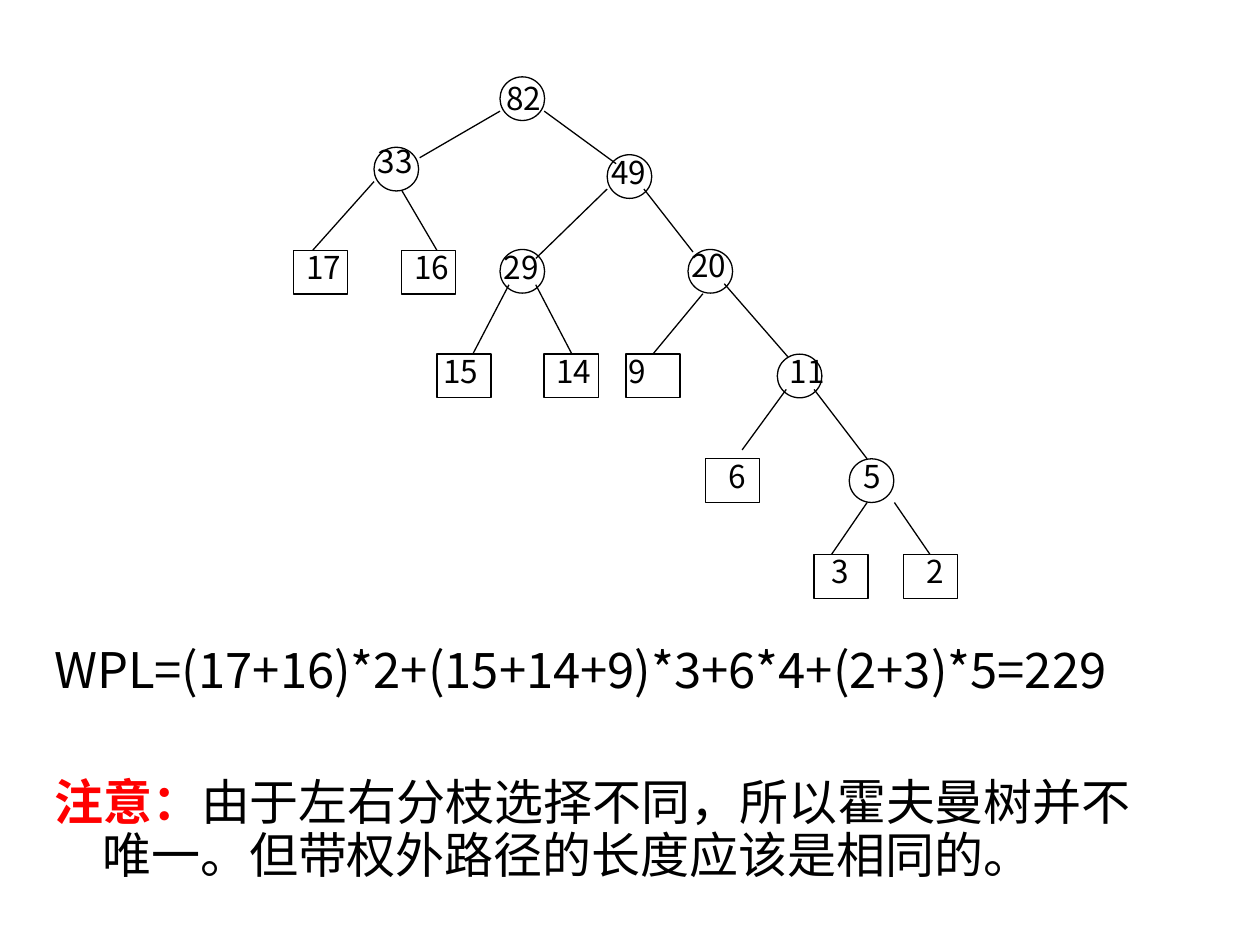
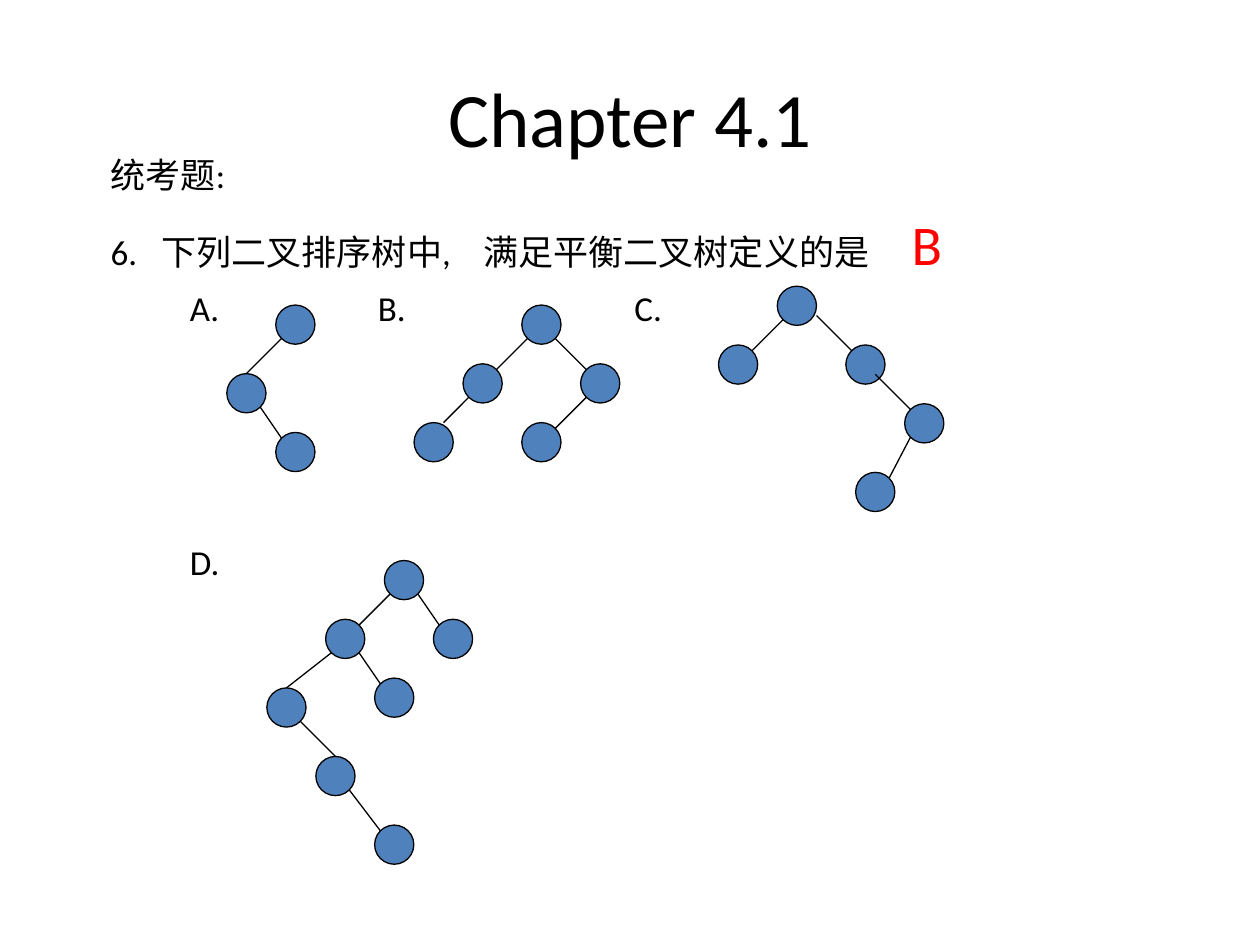
from dataclasses import dataclass

from lxml import etree
from pptx import Presentation
from pptx import util as u
from pptx.dml.color import RGBColor
from pptx.enum import shapes, text
from pptx.oxml import ns


@dataclass(frozen=True)
class Theme:
    ink: RGBColor = RGBColor(0, 0, 0)
    accent: RGBColor = RGBColor(0xFF, 0, 0)
    node: RGBColor = RGBColor(0x4F, 0x81, 0xBD)
    latin: str = "Calibri"
    chinese: str = "Noto Sans CJK SC"
    title: int = 44
    answer: int = 32
    body: int = 28
    question: int = 20
    label: int = 18
    line: float = 0.75


THEME = Theme()
OVAL = shapes.MSO_SHAPE.OVAL
RECTANGLE = shapes.MSO_SHAPE.RECTANGLE

# Huffman tree: weight, outline, its corner, label corner, edge from the parent (cm)
CIRCLE, LEAF = (OVAL, 0.9, 0.88), (RECTANGLE, 1.09, 0.88)
HUFFMAN = [
    ("82", CIRCLE, (10.08, 1.55), (9.96, 1.47), None),
    ("33", CIRCLE, (7.54, 2.97), (7.37, 2.74), (10.08, 2.24, 8.46, 3.18)),
    ("49", CIRCLE, (12.24, 3.12), (12.07, 2.97), (10.97, 2.24, 12.42, 3.3)),
    ("17", LEAF, (5.92, 5.05), (5.92, 4.88), (7.54, 3.66, 6.3, 5.05)),
    ("16", LEAF, (8.1, 5.05), (8.1, 4.88), (8.1, 3.84, 8.81, 5.05)),
    ("29", CIRCLE, (10.08, 5.03), (9.91, 4.88), (12.24, 3.81, 10.8, 5.21)),
    ("20", CIRCLE, (13.87, 5.03), (13.69, 4.83), (12.98, 3.81, 13.97, 5.08)),
    ("15", LEAF, (8.81, 7.14), (8.69, 6.98), (10.26, 5.74, 9.53, 7.14)),
    ("14", LEAF, (10.97, 7.14), (10.97, 6.98), (10.8, 5.74, 11.53, 7.14)),
    ("9", LEAF, (12.62, 7.14), (12.42, 6.98), (14.17, 5.92, 13.16, 7.14)),
    ("11", CIRCLE, (15.67, 7.14), (15.67, 6.98), (14.6, 5.72, 15.88, 7.19)),
    ("6", LEAF, (14.22, 9.25), (14.43, 9.09), (15.85, 7.85, 14.96, 9.07)),
    ("5", CIRCLE, (17.12, 9.25), (17.15, 9.09), (16.41, 7.85, 17.48, 9.25)),
    ("3", LEAF, (16.41, 11.18), (16.51, 11), (17.48, 10.13, 16.76, 11.18)),
    ("2", LEAF, (18.21, 11.18), (18.42, 11), (18.03, 10.13, 18.75, 11.18)),
]

# Answer trees: a node is four grid units wide; points on it are in grid units
DIAMETER = 0.79
GRID = DIAMETER / 4
TOP = (2, 0)
UPPER_LEFT, UPPER_RIGHT = (0.59, 0.59), (3.41, 0.59)
LOWER_LEFT, LOWER_RIGHT = (0.59, 3.41), (3.41, 3.41)

# Option letter, its corner (cm), root corner (cm), node corners from the root
# (grid units), edges
ANSWER_TREES = [
    ("A.", (3.58, 5.66), (5.56, 6.15), [(0, 0), (-5, 7), (0, 13)],
     [(0, LOWER_LEFT, 1, TOP), (1, LOWER_RIGHT, 2, UPPER_LEFT)]),
    ("B.", (7.37, 5.66), (10.52, 6.15),
     [(0, 0), (-6, 6), (6, 6), (-11, 12), (0, 12)],
     [(0, LOWER_LEFT, 1, UPPER_RIGHT), (0, LOWER_RIGHT, 2, UPPER_LEFT),
      (1, LOWER_LEFT, 3, (3, 0)), (2, LOWER_LEFT, 4, UPPER_RIGHT)]),
    ("C.", (12.54, 5.66), (15.67, 5.77),
     [(0, 0), (-6, 6), (7, 6), (13, 12), (8, 19)],
     [(0, LOWER_LEFT, 1, UPPER_RIGHT), (0, (4, 3), 2, UPPER_LEFT),
      (2, (3, 3), 3, UPPER_LEFT), (3, LOWER_LEFT, 4, UPPER_RIGHT)]),
    ("D.", (3.58, 10.78), (7.75, 11.3),
     [(0, 0), (-6, 6), (5, 6), (-12, 13), (-1, 12), (-7, 20), (-1, 27)],
     [(0, LOWER_LEFT, 1, UPPER_RIGHT), (0, LOWER_RIGHT, 2, UPPER_LEFT),
      (1, LOWER_LEFT, 3, TOP), (1, LOWER_RIGHT, 4, UPPER_LEFT),
      (3, LOWER_RIGHT, 5, TOP), (5, LOWER_RIGHT, 6, UPPER_LEFT)]),
]


def place(box, left, top, width, height):
    box.left, box.top = u.Cm(left), u.Cm(top)
    box.width, box.height = u.Cm(width), u.Cm(height)


def style_span(span, size, face, color=THEME.ink, bold=False):
    font = span.font
    font.size, font.name, font.bold = u.Pt(size), face, bold
    font.color.rgb = color
    east_asian = etree.SubElement(font._element, ns.qn("a:ea"))
    east_asian.set("typeface", face)


def add_spans(para, spans, face):
    """Each span is (text, size, color, bold)."""
    for words, size, color, bold in spans:
        span = para.add_run()
        span.text = words
        style_span(span, size, face, color, bold)


def set_layout(para, hanging=0, stops=()):
    """Turn the bullet off, then set a hanging indent or tab stops in cm."""
    properties = para._p.get_or_add_pPr()
    if hanging:
        properties.set("marL", str(u.Cm(hanging)))
        properties.set("indent", str(u.Cm(-hanging)))
    etree.SubElement(properties, ns.qn("a:buNone"))
    if stops:
        tabs = etree.SubElement(properties, ns.qn("a:tabLst"))
        for stop in stops:
            etree.SubElement(tabs, ns.qn("a:tab"), pos=str(u.Cm(stop)), algn="l")


def add_paragraphs(frame, paragraphs, face, spacing=None, hanging=0):
    """Each paragraph is (space before, tab stops, spans)."""
    frame.word_wrap = True
    for index, (before, stops, spans) in enumerate(paragraphs):
        para = frame.add_paragraph() if index else frame.paragraphs[0]
        set_layout(para, hanging, stops)
        para.space_before = u.Pt(before)
        if spacing:
            para.line_spacing = spacing
        add_spans(para, spans, face)


def add_node(parent, kind, left, top, width, height, fill=None):
    node = parent.shapes.add_shape(
        kind, u.Cm(left), u.Cm(top), u.Cm(width), u.Cm(height))
    node.shadow.inherit = False
    if fill is None:
        node.fill.background()
    else:
        node.fill.solid()
        node.fill.fore_color.rgb = fill
    node.line.color.rgb = THEME.ink
    node.line.width = u.Pt(THEME.line)


def add_edge(parent, *ends):
    edge = parent.shapes.add_connector(
        shapes.MSO_CONNECTOR.STRAIGHT, *[u.Cm(end) for end in ends])
    edge.line.color.rgb = THEME.ink
    edge.line.width = u.Pt(THEME.line)
    etree.SubElement(edge._element.spPr, ns.qn("a:effectLst"))


def add_label(page, words, left, top, size, face):
    box = page.shapes.add_textbox(u.Cm(left), u.Cm(top), u.Cm(1.27), u.Cm(1.02))
    frame = box.text_frame
    frame.word_wrap = True
    frame.text = words
    style_span(frame.paragraphs[0].runs[0], size, face)


def add_answer_tree(page, root, nodes, edges):
    tree = page.shapes.add_group_shape()
    corners = [(root[0] + x * GRID, root[1] + y * GRID) for x, y in nodes]
    for left, top in corners:
        add_node(tree, OVAL, left, top, DIAMETER, DIAMETER, THEME.node)
    for start, leave, end, arrive in edges:
        ends = [corners[node][axis] + point[axis] * GRID
                for node, point in ((start, leave), (end, arrive))
                for axis in (0, 1)]
        add_edge(tree, *ends)


def build_huffman_page(deck):
    page = deck.slides.add_slide(deck.slide_layouts[1])
    title = page.shapes.title.element
    title.getparent().remove(title)

    # Path length and remark
    body = page.placeholders[1]
    place(body, 0.84, 12.9, 22.86, 5.38)
    body.text_frame.auto_size = text.MSO_AUTO_SIZE.NONE
    add_paragraphs(body.text_frame, [
        (0, (), [("WPL=(17+16)*2+(15+14+9)*3+6*4+(2+3)*5=229",
                  THEME.body, THEME.ink, False)]),
        (45, (), [("注意：", THEME.body, THEME.accent, True),
                  ("由于左右分枝选择不同，所以霍夫曼树并不唯一。"
                   "但带权外路径的长度应该是相同的。",
                   THEME.body, THEME.ink, False)]),
    ], THEME.chinese, spacing=0.9, hanging=0.97)

    # Tree
    for weight, (kind, width, height), corner, label, edge in HUFFMAN:
        add_node(page, kind, *corner, width, height)
        if edge:
            add_edge(page, *edge)
        add_label(page, weight, *label, THEME.label, THEME.chinese)


def build_question_page(deck):
    page = deck.slides.add_slide(deck.slide_layouts[5])

    # Title
    title = page.shapes.title
    place(title, 1.27, 0.76, 22.86, 3.18)
    frame = title.text_frame
    frame.text = "Chapter 4.1"
    frame.vertical_anchor = text.MSO_ANCHOR.MIDDLE
    frame.paragraphs[0].alignment = text.PP_ALIGN.CENTER
    style_span(frame.paragraphs[0].runs[0], THEME.title, THEME.latin)

    # Question
    box = page.shapes.add_textbox(
        u.Cm(1.98), u.Cm(2.97), u.Cm(21.59), u.Cm(2.7))
    plain = (THEME.question, THEME.ink, False)
    add_paragraphs(box.text_frame, [
        (0, (), [("统考题:", *plain)]),
        (8, (1.03, 7.52, 16.15),
         [("6.\t下列二叉排序树中,\t满足平衡二叉树定义的是\t", *plain),
          ("B", THEME.answer, THEME.accent, False)]),
    ], THEME.latin)

    # Options: a letter and a tree each
    for letter, corner, root, nodes, edges in ANSWER_TREES:
        add_label(page, letter, *corner, THEME.question, THEME.latin)
        add_answer_tree(page, root, nodes, edges)


def main():
    deck = Presentation()
    deck.slide_width, deck.slide_height = u.Cm(25.4), u.Cm(19.05)
    build_huffman_page(deck)
    build_question_page(deck)
    deck.save("out.pptx")


if __name__ == "__main__":
    main()
